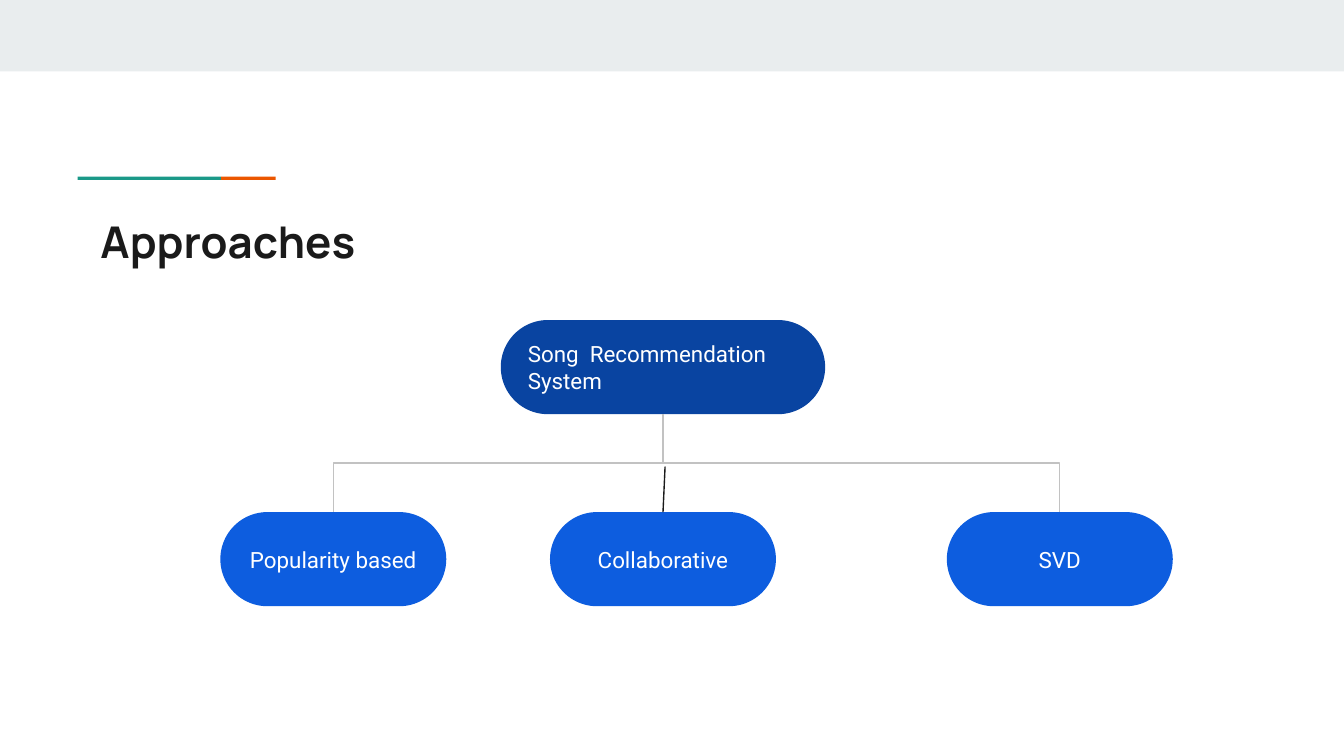
from lxml.etree import SubElement
from pptx import Presentation
from pptx.dml.color import RGBColor
from pptx.enum.shapes import MSO_CONNECTOR, MSO_SHAPE
from pptx.enum.text import MSO_ANCHOR, PP_ALIGN
from pptx.oxml.ns import qn
from pptx.util import Cm, Pt

MIST = RGBColor(0xE9, 0xED, 0xEE)
TEAL = RGBColor(0x1A, 0x99, 0x88)
ORANGE = RGBColor(0xEB, 0x56, 0x00)
INK = RGBColor(0x1A, 0x1A, 0x1A)
NAVY = RGBColor(0x09, 0x44, 0xA1)
BLUE = RGBColor(0x0D, 0x5D, 0xDF)
GREY = RGBColor(0xC2, 0xC2, 0xC2)
WHITE = RGBColor(0xFF, 0xFF, 0xFF)


class Canvas:
    """Holds the style and the current slide."""

    title_font, body_font = "Manrope", "Roboto"
    title_size, body_size = Pt(23.4), Pt(12)
    inset = Cm(0.25)

    def __init__(self, slide):
        self.slide = slide

    def label(self, shape, text, font, size, color, align, bold=False):
        frame = shape.text_frame
        frame.word_wrap = True
        frame.margin_left = frame.margin_right = self.inset
        frame.margin_top = frame.margin_bottom = self.inset
        para = frame.paragraphs[0]
        para.text = text
        para.alignment = align
        para.font.name, para.font.size = font, size
        para.font.color.rgb, para.font.bold = color, bold
        return frame

    def block(self, left, top, width, height, fill, kind=MSO_SHAPE.RECTANGLE):
        shape = self.slide.shapes.add_shape(
            kind, Cm(left), Cm(top), Cm(width), Cm(height))
        shape.shadow.inherit = False
        shape.fill.solid()
        shape.fill.fore_color.rgb = fill
        shape.line.fill.background()
        return shape

    def title(self, left, top, width, height, text):
        box = self.slide.shapes.add_textbox(
            Cm(left), Cm(top), Cm(width), Cm(height))
        self.label(box, text, self.title_font, self.title_size, INK,
                   PP_ALIGN.LEFT, True)

    def pill(self, mid, top, width, height, fill, text, align=PP_ALIGN.CENTER):
        shape = self.block(mid - width / 2, top, width, height, fill,
                           MSO_SHAPE.ROUNDED_RECTANGLE)
        shape.adjustments[0] = 0.5
        frame = self.label(shape, text, self.body_font, self.body_size, WHITE,
                           align)
        frame.vertical_anchor = MSO_ANCHOR.MIDDLE

    def line(self, x1, y1, x2, y2, color, kind=MSO_CONNECTOR.STRAIGHT):
        link = self.slide.shapes.add_connector(
            kind, Cm(x1), Cm(y1), Cm(x2), Cm(y2))
        link.line.color.rgb = color
        link.line.width = Pt(0.75)
        SubElement(link._element.spPr, qn("a:effectLst"))
        return link

    def branch(self, x1, y1, x2, y2, color):
        """Elbow that leaves and arrives vertically: a quarter turn."""
        mid_x, mid_y = (x1 + x2) / 2, (y1 + y2) / 2
        dx, dy = (x2 - x1) / 2, (y2 - y1) / 2
        link = self.line(mid_x + dy, mid_y - dx, mid_x - dy, mid_y + dx,
                         color, MSO_CONNECTOR.ELBOW)
        link._element.spPr.find(qn("a:xfrm")).set("rot", "16200000")


def main():
    deck = Presentation()
    deck.slide_width, deck.slide_height = Cm(25.4), Cm(14.29)
    canvas = Canvas(deck.slides.add_slide(deck.slide_layouts[6]))

    # Top band and accent rule
    canvas.block(0, 0, 25.4, 1.35, MIST)
    canvas.block(1.47, 3.34, 2.71, 0.06, TEAL)
    canvas.block(4.18, 3.34, 1.03, 0.06, ORANGE)

    canvas.title(1.65, 3.81, 21.36, 1.5, "Approaches")

    # Tree: one root above three leaves
    high, root_mid, root_top, leaf_top = 1.78, 12.53, 6.05, 9.68
    root_end = root_top + high
    leaves = {"Popularity based": 6.3, "Collaborative": root_mid, "SVD": 20.03}

    canvas.pill(root_mid, root_top, 6.13, high, NAVY,
                "Song  Recommendation System", PP_ALIGN.LEFT)
    for text, mid in leaves.items():
        canvas.pill(mid, leaf_top, 4.27, high, BLUE, text)
        if mid == root_mid:
            canvas.line(mid + 0.04, 8.82, mid, leaf_top, INK)
        else:
            canvas.branch(root_mid, root_end, mid, leaf_top, GREY)

    deck.save("out.pptx")


if __name__ == "__main__":
    main()
